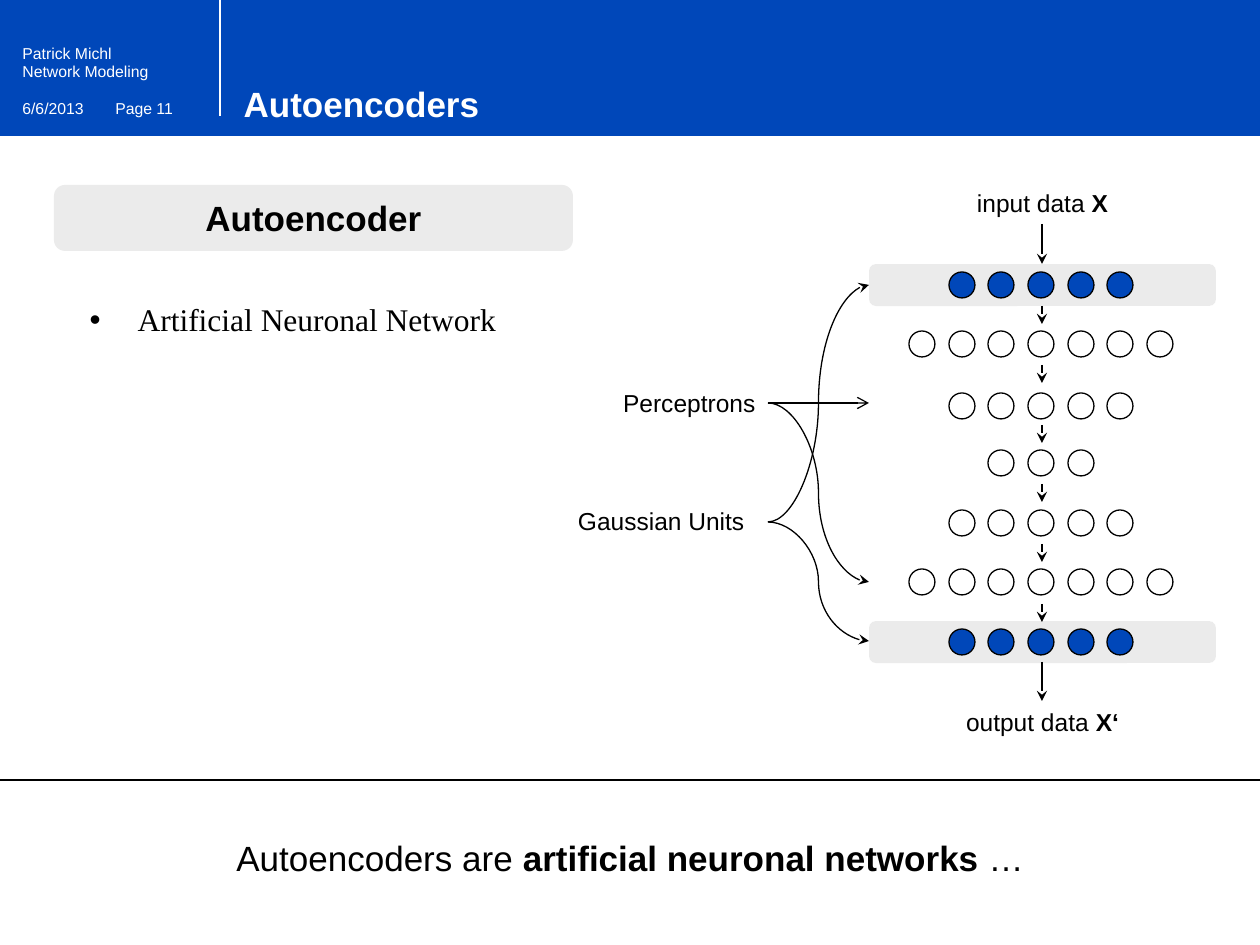
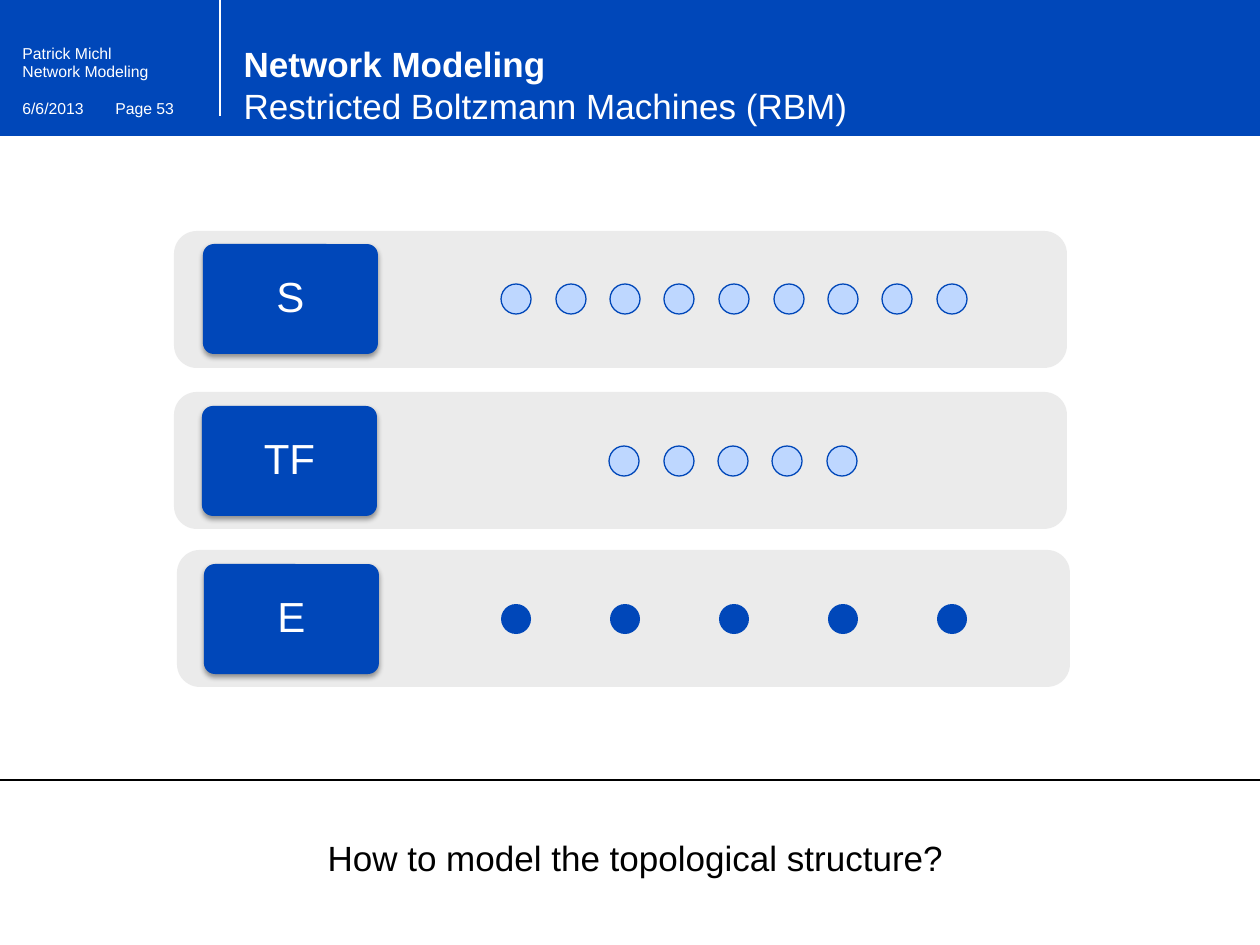
from dataclasses import dataclass

import lxml.etree as etree
import pptx
import pptx.dml.color
import pptx.enum.shapes
import pptx.enum.text
import pptx.oxml.ns
import pptx.util

RGB = pptx.dml.color.RGBColor
SHAPE = pptx.enum.shapes.MSO_SHAPE
CONNECTOR = pptx.enum.shapes.MSO_CONNECTOR
ALIGN = pptx.enum.text.PP_ALIGN
ANCHOR = pptx.enum.text.MSO_ANCHOR
qn = pptx.oxml.ns.qn

BLUE = RGB(0x00, 0x47, 0xB9)
PALE_BLUE = RGB(0xBE, 0xD7, 0xFF)
PAGE = RGB(0xCC, 0xDB, 0xF1)
GRAY = RGB(0xD9, 0xD9, 0xD9)
BLACK = RGB(0x00, 0x00, 0x00)
WHITE = RGB(0xFF, 0xFF, 0xFF)

PX_PER_INCH = 126
WIDTH, HEIGHT, BAND = 1260, 945, 136


@dataclass
class Box:
    x: int
    y: int
    w: int
    h: int


@dataclass
class Style:
    size: int
    color: RGB = BLACK
    align: ALIGN = ALIGN.LEFT
    font: str = "Arial"


@dataclass
class Run:
    text: str
    bold: bool = False


@dataclass
class Label:
    box: Box
    runs: list[Run]
    style: Style


@dataclass
class DotRow:
    """Equal dots whose centres span a width around mid_x."""
    count: int
    span: int
    mid_x: int
    top: int
    size: int
    fill: RGB
    line: RGB | None = BLACK


@dataclass
class Arrow:
    x1: int
    y1: int
    x2: int
    y2: int
    kind: CONNECTOR = CONNECTOR.STRAIGHT
    head: str = "stealth"


@dataclass
class UnitPanel:
    name: str
    panel: tuple[int, int]
    badge: tuple[int, int]
    dots: DotRow


HEADER = Style(9, WHITE)
TITLE = Style(20, WHITE)
MESSAGE = Style(20, align=ALIGN.CENTER)
CAPTION = Style(14, align=ALIGN.CENTER)
SIDE_LABEL = Style(14, align=ALIGN.RIGHT)
BULLET = Style(18, font="Times New Roman")
BADGE = Style(24, WHITE, ALIGN.CENTER)


def px(n: float) -> int:
    return round(n * 914400 / PX_PER_INCH)


def place(sp, box: Box) -> None:
    sp.left, sp.top, sp.width, sp.height = map(px, (box.x, box.y, box.w, box.h))


def fill_text(tf, paragraphs: list[list[Run]], style: Style,
              anchor: ANCHOR = ANCHOR.TOP) -> None:
    tf.word_wrap = True
    tf.auto_size = pptx.enum.text.MSO_AUTO_SIZE.NONE
    tf.vertical_anchor = anchor
    for i, runs in enumerate(paragraphs):
        p = tf.add_paragraph() if i else tf.paragraphs[0]
        p.alignment = style.align
        p.space_before = pptx.util.Pt(0)
        for run in runs:
            r = p.add_run()
            r.text = run.text
            r.font.name = style.font
            r.font.size = pptx.util.Pt(style.size)
            r.font.bold = run.bold
            r.font.color.rgb = style.color


def add_label(slide, label: Label) -> None:
    b = label.box
    sp = slide.shapes.add_textbox(px(b.x), px(b.y), px(b.w), px(b.h))
    fill_text(sp.text_frame, [label.runs], label.style)


def add_shape(slide, kind: SHAPE, box: Box, fill: RGB, line: RGB | None = None):
    sp = slide.shapes.add_shape(kind, px(box.x), px(box.y), px(box.w), px(box.h))
    sp.shadow.inherit = False
    sp.fill.solid()
    sp.fill.fore_color.rgb = fill
    if line is None:
        sp.line.fill.background()
    else:
        sp.line.color.rgb = line
        sp.line.width = pptx.util.Pt(0.75)
    return sp


def add_panel(slide, box: Box) -> None:
    """Half-transparent gray rounded panel."""
    sp = add_shape(slide, SHAPE.ROUNDED_RECTANGLE, box, GRAY)
    color = sp.element.spPr.find(qn("a:solidFill"))[0]
    etree.SubElement(color, qn("a:alpha"), val="50000")


def add_line(slide, arrow: Arrow, color: RGB = BLACK, width: float = 0.75) -> None:
    cn = slide.shapes.add_connector(
        arrow.kind, px(arrow.x1), px(arrow.y1), px(arrow.x2), px(arrow.y2))
    cn.line.color.rgb = color
    cn.line.width = pptx.util.Pt(width)
    spPr = cn.element.spPr
    etree.SubElement(spPr.find(qn("a:ln")), qn("a:tailEnd"), type=arrow.head)
    etree.SubElement(spPr, qn("a:effectLst"))


def add_dots(slide, row: DotRow) -> None:
    first = row.mid_x - row.span / 2 - row.size / 2
    for i in range(row.count):
        x = round(first + row.span * i / (row.count - 1))
        add_shape(slide, SHAPE.OVAL, Box(x, row.top, row.size, row.size),
                  row.fill, row.line)


def add_badge(slide, x: int, y: int, name: str) -> None:
    """Blue name plate with a soft shadow below it."""
    sp = add_shape(slide, SHAPE.ROUNDED_RECTANGLE, Box(x, y, 175, 110), BLUE)
    sp.adjustments[0] = 0.1
    shadow = etree.SubElement(
        sp.element.spPr.find(qn("a:effectLst")), qn("a:outerShdw"),
        blurRad="40000", dist="20000", dir="5400000", rotWithShape="0")
    color = etree.SubElement(shadow, qn("a:srgbClr"), val=str(BLACK))
    etree.SubElement(color, qn("a:alpha"), val="38000")
    fill_text(sp.text_frame, [[Run(name)]], BADGE, ANCHOR.MIDDLE)
    sp.text_frame.paragraphs[0].line_spacing = 0.9


def new_slide(prs, layout: int, page: int, title_box: Box,
              title: list[list[Run]], message: Label):
    """Slide with the header band, title, rule and closing message."""
    slide = prs.slides.add_slide(prs.slide_layouts[layout])
    slide.background.fill.solid()
    slide.background.fill.fore_color.rgb = PAGE
    add_shape(slide, SHAPE.RECTANGLE, Box(0, BAND, WIDTH, HEIGHT - BAND), WHITE)
    add_shape(slide, SHAPE.RECTANGLE, Box(0, 0, WIDTH, BAND), BLUE)
    add_line(slide, Arrow(220, 116, 220, 0, head="none"), WHITE, 0.9)
    for text, box in (
        (f"Page {page}", Box(103, 93, 127, 63)),
        ("6/6/2013", Box(10, 93, 116, 32)),
        ("Patrick Michl", Box(10, 38, 168, 32)),
        ("Network Modeling", Box(10, 56, 168, 32)),
    ):
        add_label(slide, Label(box, [Run(text)], HEADER))
    add_line(slide, Arrow(0, 780, WIDTH, 780, head="none"))
    add_label(slide, message)
    for sp in list(slide.placeholders):
        slide.shapes._spTree.append(sp.element)  # in front of the band
    place(slide.shapes.title, title_box)
    fill_text(slide.shapes.title.text_frame, title, TITLE)
    return slide


def add_autoencoder_slide(prs) -> None:
    slide = new_slide(
        prs, 1, 11, Box(231, 76, 777, 54), [[Run("Autoencoders", True)]],
        Label(Box(0, 830, WIDTH, 55),
              [Run("Autoencoders are "), Run("artificial neuronal networks", True),
               Run(" …")], MESSAGE))
    add_panel(slide, Box(54, 185, 519, 66))
    add_label(slide, Label(Box(54, 190, 519, 55), [Run("Autoencoder", True)], MESSAGE))

    body = slide.placeholders[1]
    place(body, Box(77, 294, 436, 50))
    fill_text(body.text_frame, [[Run("Artificial Neuronal Network")]], BULLET)
    pPr = body.text_frame.paragraphs[0]._p.get_or_add_pPr()
    pPr.set("marL", str(px(48)))
    pPr.set("indent", str(px(-48)))

    for top in (264, 621):
        add_panel(slide, Box(869, top, 347, 42))
    layers = [(5, 272, BLUE), (7, 331, WHITE), (5, 393, WHITE), (3, 450, WHITE),
              (5, 510, WHITE), (7, 569, WHITE), (5, 629, BLUE)]
    for count, top, fill in layers:
        add_dots(slide, DotRow(count, 397 * (count - 1) // 10, 1041, top, 26, fill))

    starts = [306 + 298 * i // 5 for i in range(len(layers) - 1)]
    flow = [(224, 264), *((y, y + 18) for y in starts), (662, 701)]
    for y1, y2 in flow:
        add_line(slide, Arrow(1042, y1, 1042, y2))

    for label in (
        Label(Box(869, 182, 347, 43), [Run("input data "), Run("X", True)], CAPTION),
        Label(Box(869, 701, 347, 43), [Run("output data "), Run("X‘", True)], CAPTION),
        Label(Box(580, 382, 188, 43), [Run("Perceptrons")], SIDE_LABEL),
        Label(Box(519, 500, 238, 43), [Run("Gaussian Units")], SIDE_LABEL),
    ):
        add_label(slide, label)
    for y1, y2 in ((403, 582), (522, 641), (522, 285)):
        add_line(slide, Arrow(768, y1, 869, y2, CONNECTOR.CURVE))
    add_line(slide, Arrow(768, 403, 869, 403, head="arrow"))


def add_rbm_slide(prs) -> None:
    slide = new_slide(
        prs, 5, 53, Box(231, 36, 777, 97),
        [[Run("Network Modeling", True)], [Run("Restricted Boltzmann Machines (RBM)")]],
        Label(Box(154, 830, 963, 55),
              [Run("How to model the topological structure?")], MESSAGE))
    for unit in (
        UnitPanel("S", (174, 231), (203, 244),
                  DotRow(9, 436, 734, 284, 30, PALE_BLUE, BLUE)),
        UnitPanel("TF", (174, 392), (202, 406),
                  DotRow(5, 218, 733, 446, 30, PALE_BLUE, BLUE)),
        UnitPanel("E", (177, 550), (204, 564),
                  DotRow(5, 436, 734, 604, 30, BLUE, None)),
    ):
        add_panel(slide, Box(*unit.panel, 893, 137))
        add_badge(slide, *unit.badge, unit.name)
        add_dots(slide, unit.dots)


def main() -> None:
    prs = pptx.Presentation()
    prs.slide_width, prs.slide_height = px(WIDTH), px(HEIGHT)
    add_autoencoder_slide(prs)
    add_rbm_slide(prs)
    prs.save("out.pptx")


if __name__ == "__main__":
    main()
